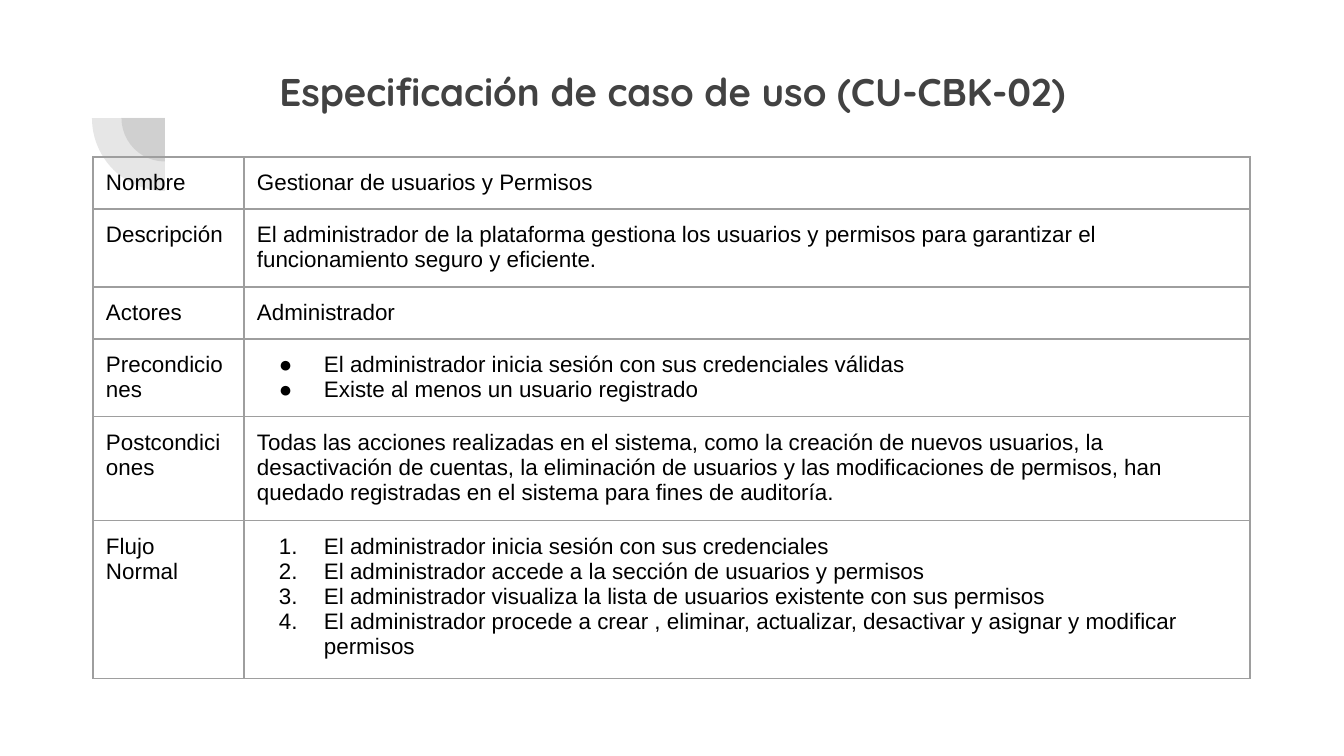
from dataclasses import dataclass

from lxml import etree
from pptx import Presentation
from pptx.dml.color import RGBColor
from pptx.enum.shapes import MSO_SHAPE
from pptx.enum.text import MSO_ANCHOR, MSO_AUTO_SIZE, PP_ALIGN
from pptx.oxml.ns import qn
from pptx.util import Pt

PIE = MSO_SHAPE.PIE
TOP = MSO_ANCHOR.TOP
NO_AUTOFIT = MSO_AUTO_SIZE.NONE
CENTER = PP_ALIGN.CENTER

EMU_PER_PX = 914400 / 134.4
SLIDE_SIZE = (1344, 756)
INSET = 13
LIST_MARGIN, LIST_HANGING = 67, 45
COLUMN_WIDTHS = (151, 1006)
ROW_HEIGHTS = (52, 78, 52, 78, 104, 158)

BULLETED = ("buChar", {"char": "●"})
NUMBERED = ("buAutoNum", {"type": "arabicPeriod"})


@dataclass(frozen=True)
class Theme:
    heading: str = "424242"
    body: str = "000000"
    border: str = "9E9E9E"
    heading_font: str = "Quicksand"
    body_font: str = "Arial"
    heading_size: float = 20.7
    body_size: float = 12
    border_width: float = 0.75
    pie_alpha: int = 13


THEME = Theme()

USE_CASE = [
    ("Nombre", ["Gestionar de usuarios y Permisos"], None),
    ("Descripción", [
        "El administrador de la plataforma gestiona los usuarios y permisos "
        "para garantizar el funcionamiento seguro y eficiente.",
    ], None),
    ("Actores", ["Administrador"], None),
    ("Precondiciones", [
        "El administrador inicia sesión con sus credenciales válidas",
        "Existe al menos un usuario registrado",
    ], BULLETED),
    ("Postcondiciones", [
        "Todas las acciones realizadas en el sistema, como la creación de "
        "nuevos usuarios, la desactivación de cuentas, la eliminación de "
        "usuarios y las modificaciones de permisos, han quedado registradas "
        "en el sistema para fines de auditoría.",
    ], None),
    ("Flujo Normal", [
        "El administrador inicia sesión con sus credenciales",
        "El administrador accede a la sección de usuarios y permisos",
        "El administrador visualiza la lista de usuarios existente con sus permisos",
        "El administrador procede a crear , eliminar, actualizar, desactivar "
        "y asignar y modificar permisos",
    ], NUMBERED),
]


def px(value):
    return round(value * EMU_PER_PX)


def add_child(parent, tag, **attributes):
    return etree.SubElement(parent, qn(f"a:{tag}"), attributes)


def set_insets(holder):
    for side in ("left", "top", "right", "bottom"):
        setattr(holder, f"margin_{side}", px(INSET))


def format_runs(paragraph, font_name, size, color, bold=False):
    for run in paragraph.runs:
        run.font.name = font_name
        run.font.size = Pt(size)
        run.font.bold = bold
        run.font.color.rgb = RGBColor.from_string(color)


def place_title(slide, text):
    title = slide.shapes.title
    title.left, title.top, title.width, title.height = map(px, (156, 48, 1033, 66))
    frame = title.text_frame
    frame.text = text
    frame.word_wrap = True
    frame.auto_size = NO_AUTOFIT
    frame.vertical_anchor = TOP
    set_insets(frame)
    heading = frame.paragraphs[0]
    heading.alignment = CENTER
    heading.line_spacing = 1.15
    heading.space_before = Pt(0)
    heading.space_after = Pt(12)
    format_runs(heading, THEME.heading_font, THEME.heading_size, THEME.heading, True)


def add_quarter_pie(slide, center_x, center_y, diameter):
    left, top = center_x - diameter / 2, center_y - diameter / 2
    pie = slide.shapes.add_shape(PIE, px(left), px(top), px(diameter), px(diameter))
    pie.adjustments[0], pie.adjustments[1] = 108, 162
    pie.rotation = 270
    pie.shadow.inherit = False
    pie.fill.solid()
    pie.fill.fore_color.rgb = RGBColor.from_string(THEME.heading)
    tint = pie.fill._xPr.find(qn("a:solidFill"))[0]
    add_child(tint, "alpha", val=str(THEME.pie_alpha * 1000))
    pie.line.fill.background()


def add_list_marker(paragraph, marker):
    properties = paragraph._p.get_or_add_pPr()
    properties.set("marL", str(px(LIST_MARGIN)))
    properties.set("indent", str(-px(LIST_HANGING)))
    add_child(add_child(properties, "buClr"), "srgbClr", val=THEME.body)
    add_child(properties, "buFont", typeface=THEME.body_font)
    tag, attributes = marker
    add_child(properties, tag, **attributes)


def add_borders(cell):
    properties = cell._tc.get_or_add_tcPr()
    for side in ("lnL", "lnR", "lnT", "lnB"):
        border = add_child(properties, side, w=str(Pt(THEME.border_width)))
        add_child(add_child(border, "solidFill"), "srgbClr", val=THEME.border)


def fill_cell(cell, lines, marker=None):
    cell.text_frame.text = "\n".join(lines)
    set_insets(cell)
    cell.vertical_anchor = TOP
    add_borders(cell)
    cell.fill.background()
    for paragraph in cell.text_frame.paragraphs:
        format_runs(paragraph, THEME.body_font, THEME.body_size, THEME.body)
        if marker:
            add_list_marker(paragraph, marker)


def add_use_case_table(slide, left, top):
    table = slide.shapes.add_table(
        len(USE_CASE), len(COLUMN_WIDTHS), px(left), px(top),
        px(sum(COLUMN_WIDTHS)), px(sum(ROW_HEIGHTS)),
    ).table
    table.first_row = False
    table.horz_banding = False
    for column, width in zip(table.columns, COLUMN_WIDTHS):
        column.width = px(width)
    for row, height, (field, lines, marker) in zip(table.rows, ROW_HEIGHTS, USE_CASE):
        row.height = px(height)
        fill_cell(row.cells[0], [field])
        fill_cell(row.cells[1], lines, marker)


def main():
    presentation = Presentation()
    presentation.slide_width, presentation.slide_height = map(px, SLIDE_SIZE)
    slide = presentation.slides.add_slide(presentation.slide_layouts[5])
    place_title(slide, "Especificación de caso de uso (CU-CBK-02)")
    for diameter in (87, 146):
        add_quarter_pie(slide, 165, 118, diameter)
    add_use_case_table(slide, 93, 157)
    presentation.save("out.pptx")


if __name__ == "__main__":
    main()
